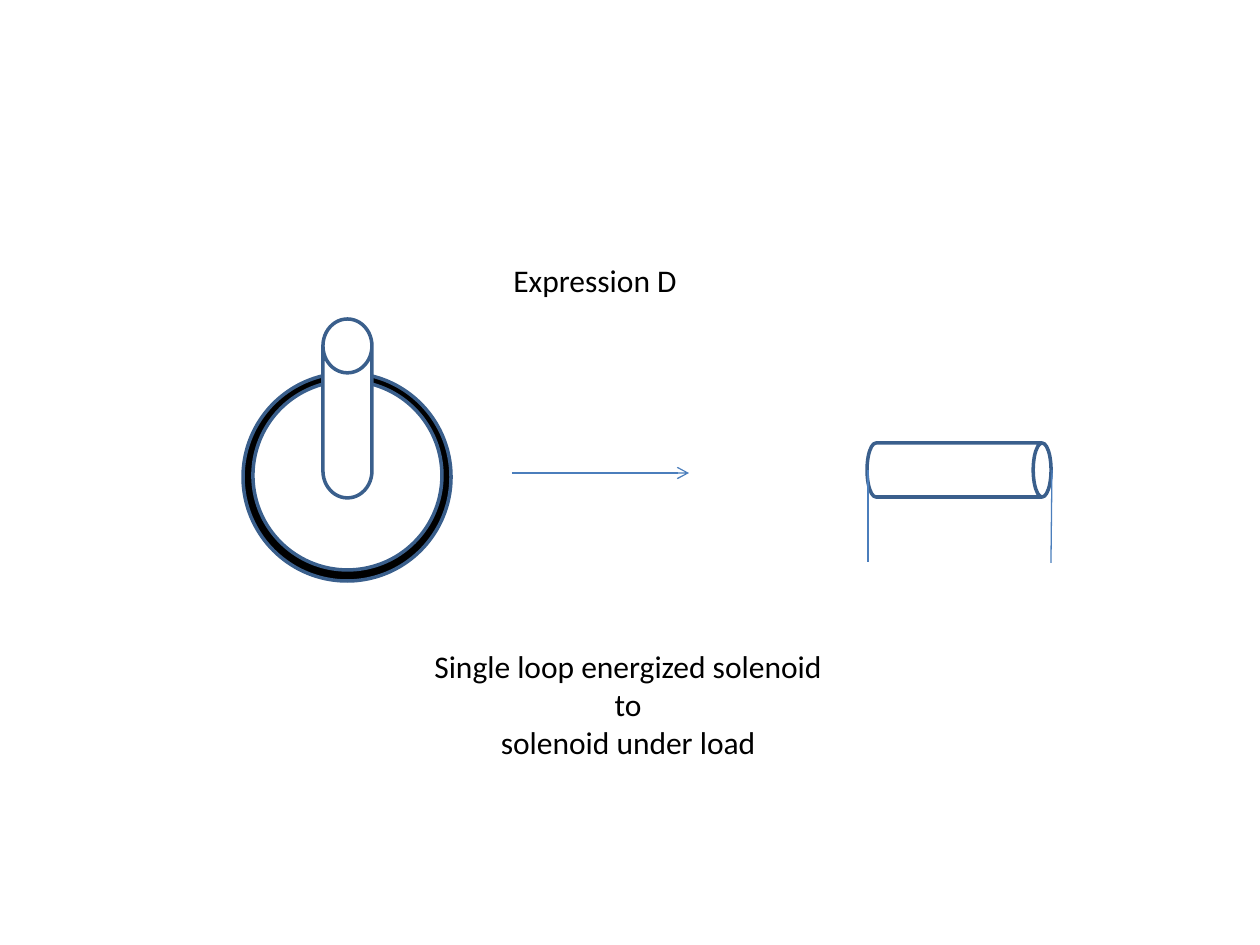
from lxml.etree import SubElement
from pptx import Presentation
from pptx.dml.color import RGBColor
from pptx.enum.shapes import MSO_CONNECTOR, MSO_SHAPE
from pptx.enum.text import MSO_AUTO_SIZE, PP_ALIGN
from pptx.oxml.ns import qn
from pptx.util import Pt

PX = 914400 / 126  # EMU per px


def px(*lengths):
    return [round(length * PX) for length in lengths]


def color(value):
    return RGBColor.from_string(value)


presentation = Presentation()
presentation.slide_width, presentation.slide_height = px(1260, 945)
slide = presentation.slides.add_slide(presentation.slide_layouts[6])
slide.background.fill.solid()
slide.background.fill.fore_color.rgb = color("FFFFFF")

# Loop ring, load solenoid, loop solenoid: box, fill, rotation, cap depth
solids = [
    (MSO_SHAPE.OVAL, (243, 373, 208, 208), "000000", 0, None),
    (MSO_SHAPE.OVAL, (253, 381, 189, 189), "FFFFFF", 0, None),
    (MSO_SHAPE.CAN, (932, 378, 54, 184), "FFFFFF", 90, 0.33),
    (MSO_SHAPE.CAN, (323, 319, 49, 179), "FFFFFF", 0, 1.1),
]
for kind, box, fill, rotation, cap in solids:
    shape = slide.shapes.add_shape(kind, *px(*box))
    shape.shadow.inherit = False
    shape.rotation = rotation
    if cap is not None:
        shape.adjustments[0] = cap
    shape.fill.solid()
    shape.fill.fore_color.rgb = color(fill)
    shape.line.color.rgb = color("3A5F8C")
    shape.line.width = Pt(2)

# Arrow between the two solenoids, and the leads of the load solenoid
lines = [
    ((512, 473, 689, 473), True),
    ((868, 470, 868, 562), False),
    ((1051, 563, 1052, 470), False),
]
for ends, has_arrowhead in lines:
    connector = slide.shapes.add_connector(MSO_CONNECTOR.STRAIGHT, *px(*ends))
    connector.line.color.rgb = color("4B7EBC")
    connector.line.width = Pt(0.75)
    if has_arrowhead:
        SubElement(connector.line._get_or_add_ln(), qn("a:tailEnd"), type="arrow")
    SubElement(connector._element.spPr, qn("a:effectLst"))

# Heading and caption
texts = [
    ((501, 255, 190, 50), ["Expression D"]),
    ((422, 641, 418, 127), ["Single loop energized solenoid", "to", "solenoid under load"]),
]
for box, wording in texts:
    frame = slide.shapes.add_textbox(*px(*box)).text_frame
    frame.word_wrap = False
    frame.auto_size = MSO_AUTO_SIZE.SHAPE_TO_FIT_TEXT
    for index, words in enumerate(wording):
        paragraph = frame.add_paragraph() if index else frame.paragraphs[0]
        paragraph.alignment = PP_ALIGN.CENTER if index else PP_ALIGN.LEFT
        run = paragraph.add_run()
        run.text = words
        run.font.name = "Calibri"
        run.font.size = Pt(18)
        run.font.color.rgb = color("000000")

presentation.save("out.pptx")
